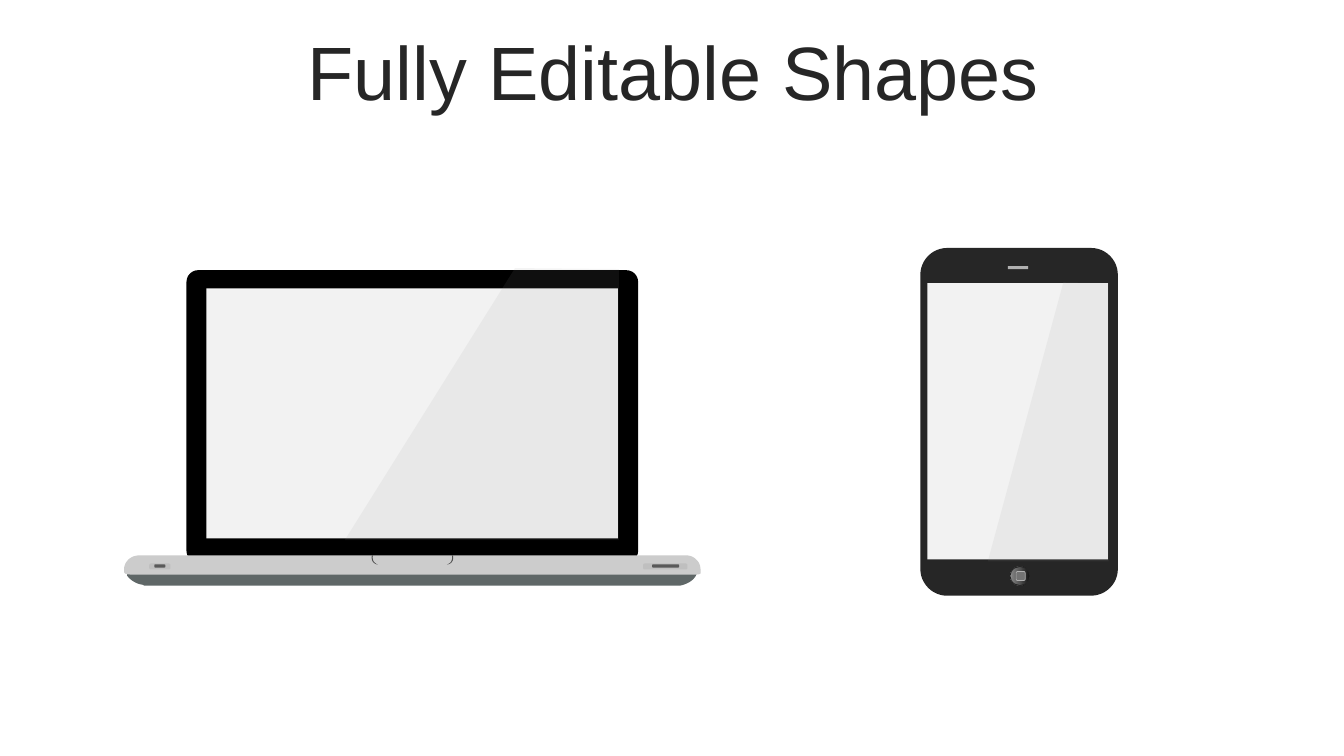
from lxml.etree import SubElement
from pptx import Presentation
from pptx.dml.color import RGBColor
from pptx.enum.shapes import MSO_SHAPE
from pptx.enum.text import MSO_ANCHOR, PP_ALIGN
from pptx.oxml.ns import qn
from pptx.util import Pt

THEME = {
    "font": "Arial", "title_size": 54, "ink": "262626", "foot": "5F6767", "lid": "000000",
    "screen": "F2F2F2", "base": "CCCCCC", "notch": "4D4D4D", "port": "BFBFBF",
    "slot": "595959", "glare": "999999", "glare_alpha": 10, "phone": "262626",
    "speaker": "B0B0B0", "key": "737373",
    "button": [(0, "0F0F0F"), (56, "595959"), (91, "808080"), (100, "BFBFBF")],
}
TITLE = "Fully Editable Shapes"
TITLE_BOX = (25.2, 25.9, 911.5, 56.9)

FOOT = [(486, 418.3), (486, 418.3, 494.6, 416.9, 497.5, 410.4),
        (497.5, 408.2, 496.1, 406.1, 493.9, 406.1), (100, 407.5), (95, 407.5),
        (92.9, 407.5, 90.7, 409, 90.7, 411.1),
        (93.6, 415.4, 99.4, 417.6, 101.5, 417.6), (103, 418.3)]
LID = (133.2, 193, 322.6, 208.8)
LAPTOP_SCREEN = (147.4, 205.9, 294, 178.6)
BASE = [(99.4, 396.7), (490.3, 396.7), (495.4, 396.7, 500.4, 401, 500.4, 406.8),
        (500.4, 409), (500.4, 409, 501.1, 410.4, 496.8, 410.4), (94.3, 410.4),
        (92.2, 410.4, 88.6, 410.4, 88.6, 408.2), (88.6, 406.8),
        (88.6, 401, 93.6, 396.7, 99.4, 396.7)]
NOTCH_LEFT = [(265.7, 396.7), (266.4, 396.7), (266.4, 396.7, 265, 401.8, 270, 403.2),
              (269.3, 403.2), (264.2, 401.8, 265.7, 396.7, 265.7, 396.7)]
NOTCH_CENTER = 294.6
PORTS = [((106.6, 402.5, 15.1, 4.3), (110.2, 403.2, 7.9, 2.2)),
         ((459.4, 402.5, 31.7, 4.3), (465.8, 403.2, 19.4, 2.2))]
LAPTOP_GLARE = [(367.9, 191.5), (442.1, 192.2), (442.1, 385.9), (246.2, 385.9)]

PHONE = (657.4, 177.1, 141.1, 248.4)
SPEAKER = (720, 190.1, 14.4, 2.2)
BUTTON = (721.4, 404.6, 14.4, 13.7)
KEY = (725.8, 408.2, 6.5, 6.5)
PHONE_SCREEN = (662.4, 202.3, 128.9, 197.3)
PHONE_GLARE = [(759.6, 201.6), (792, 202.3), (792, 401), (705.6, 401)]


def paint(shape, color, alpha=None):
    shape.shadow.inherit = False
    shape.line.fill.background()
    shape.fill.solid()
    shape.fill.fore_color.rgb = RGBColor.from_string(color)
    if alpha is not None:
        node = shape.fill._xPr.find(qn("a:solidFill"))[0]
        SubElement(node, qn("a:alpha"), val=str(alpha * 1000))


def add_preset(group, kind, box, color, corner=None):
    shape = group.shapes.add_shape(kind, *map(Pt, box))
    if corner is not None:
        shape.adjustments[0] = corner
    paint(shape, color)
    return shape


def flatten(outline, steps=12):
    points = [outline[0]]
    for segment in outline[1:]:
        if len(segment) == 2:
            points.append(segment)
            continue
        x0, y0 = points[-1]
        x1, y1, x2, y2, x3, y3 = segment
        for step in range(1, steps + 1):
            t = step / steps
            a, b, c, d = (1 - t) ** 3, 3 * t * (1 - t) ** 2, 3 * t * t * (1 - t), t ** 3
            points.append((a * x0 + b * x1 + c * x2 + d * x3,
                           a * y0 + b * y1 + c * y2 + d * y3))
    return points


def add_outline(group, points, color, alpha=None):
    points = [(Pt(x), Pt(y)) for x, y in points]
    builder = group.shapes.build_freeform(*points[0])
    builder.add_line_segments(points[1:], close=True)
    paint(builder.convert_to_shape(), color, alpha)


def add_title(slide):
    box = slide.shapes.add_textbox(*map(Pt, TITLE_BOX))
    frame = box.text_frame
    frame.word_wrap = True
    frame.vertical_anchor = MSO_ANCHOR.MIDDLE
    paragraph = frame.paragraphs[0]
    paragraph.alignment = PP_ALIGN.CENTER
    paragraph.line_spacing = 0.9
    run = paragraph.add_run()
    run.text = TITLE
    run.font.name = THEME["font"]
    run.font.size = Pt(THEME["title_size"])
    run.font.color.rgb = RGBColor.from_string(THEME["ink"])


def add_laptop(slide):
    group = slide.shapes.add_group_shape()
    add_outline(group, flatten(FOOT), THEME["foot"])
    add_preset(group, MSO_SHAPE.ROUNDED_RECTANGLE, LID, THEME["lid"], 0.04)
    add_preset(group, MSO_SHAPE.RECTANGLE, LAPTOP_SCREEN, THEME["screen"])
    add_outline(group, flatten(BASE), THEME["base"])
    notch = flatten(NOTCH_LEFT)
    for side in (notch, [(2 * NOTCH_CENTER - x, y) for x, y in notch]):
        add_outline(group, side, THEME["notch"])
    for port, slot in PORTS:
        add_preset(group, MSO_SHAPE.ROUNDED_RECTANGLE, port, THEME["port"], 0.28)
        add_preset(group, MSO_SHAPE.ROUNDED_RECTANGLE, slot, THEME["slot"], 0.28)
    add_outline(group, LAPTOP_GLARE, THEME["glare"], THEME["glare_alpha"])


def add_phone(slide):
    group = slide.shapes.add_group_shape()
    add_preset(group, MSO_SHAPE.ROUNDED_RECTANGLE, PHONE, THEME["phone"], 0.136)
    add_preset(group, MSO_SHAPE.RECTANGLE, SPEAKER, THEME["speaker"])
    button = add_preset(group, MSO_SHAPE.OVAL, BUTTON, THEME["phone"])
    button.fill.gradient()
    button.fill.gradient_angle = 180
    stops = button.fill._xPr.find(qn("a:gradFill")).find(qn("a:gsLst"))
    for stop in list(stops):
        stops.remove(stop)
    for position, color in THEME["button"]:
        stop = SubElement(stops, qn("a:gs"), pos=str(position * 1000))
        SubElement(stop, qn("a:srgbClr"), val=color)
    button.line.color.rgb = RGBColor.from_string(THEME["phone"])
    button.line.width = Pt(0)
    key = add_preset(group, MSO_SHAPE.ROUNDED_RECTANGLE, KEY, THEME["key"])
    key.line.color.rgb = RGBColor.from_string(THEME["speaker"])
    key.line.width = Pt(0.5)
    add_preset(group, MSO_SHAPE.RECTANGLE, PHONE_SCREEN, THEME["screen"])
    add_outline(group, PHONE_GLARE, THEME["glare"], THEME["glare_alpha"])


def main():
    presentation = Presentation()
    presentation.slide_width, presentation.slide_height = Pt(960), Pt(540)
    slide = presentation.slides.add_slide(presentation.slide_layouts[6])
    add_title(slide)
    add_laptop(slide)
    add_phone(slide)
    presentation.save("out.pptx")


if __name__ == "__main__":
    main()
